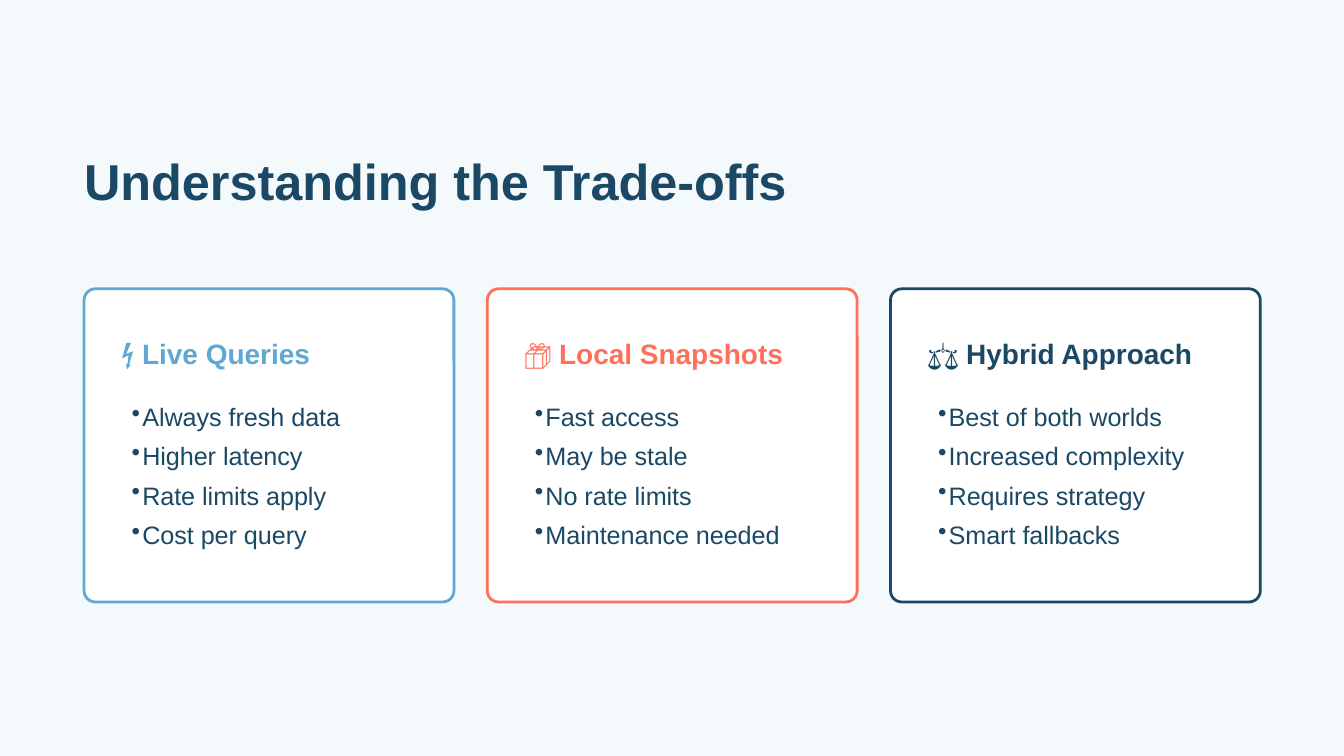
from lxml import etree
from pptx import Presentation
from pptx.dml.color import RGBColor
from pptx.enum.shapes import MSO_SHAPE
from pptx.oxml.ns import qn
from pptx.util import Cm, Pt

ROUNDED = MSO_SHAPE.ROUNDED_RECTANGLE
FONT = "Arial"
NAVY = "1B4965"
SKY = "5FA8D3"
CORAL = "FF6F59"
WHITE = "FFFFFF"
BACKGROUND = "F4F9FC"

MARGIN = 1.59
CARD_PITCH = 7.62
BULLET_INDENT = 0.2

OPTIONS = [
    ("⚡ Live Queries", SKY,
     ["Always fresh data", "Higher latency", "Rate limits apply", "Cost per query"]),
    ("📦 Local Snapshots", CORAL,
     ["Fast access", "May be stale", "No rate limits", "Maintenance needed"]),
    ("⚖ Hybrid Approach", NAVY,
     ["Best of both worlds", "Increased complexity", "Requires strategy", "Smart fallbacks"]),
]


def rgb(color):
    return RGBColor.from_string(color)


def add_text(slide, box, lines, size, color, leading, bold=False,
             before=0, after=0, inset=0):
    frame = slide.shapes.add_textbox(*map(Cm, box)).text_frame
    frame.word_wrap = True
    frame.margin_left = Cm(inset)
    frame.margin_top = frame.margin_right = frame.margin_bottom = 0
    frame.text = "\n".join(lines)
    for paragraph in frame.paragraphs:
        paragraph.line_spacing = Pt(leading)
        paragraph.space_before = Pt(before)
        paragraph.space_after = Pt(after)
        for run in paragraph.runs:
            run.font.name = FONT
            run.font.size = Pt(size)
            run.font.bold = bold
            run.font.color.rgb = rgb(color)
    return frame


def add_bullets(frame):
    for paragraph in frame.paragraphs:
        properties = paragraph._p.get_or_add_pPr()
        properties.set("marL", str(Cm(BULLET_INDENT)))
        properties.set("indent", str(-Cm(BULLET_INDENT)))
        etree.SubElement(properties, qn("a:buChar"), char="•")


def add_card(slide, left, heading, accent, points):
    card = slide.shapes.add_shape(ROUNDED, Cm(left), Cm(5.46), Cm(6.99), Cm(5.92))
    card.adjustments[0] = 0.036
    card.shadow.inherit = False
    card.fill.solid()
    card.fill.fore_color.rgb = rgb(WHITE)
    card.line.color.rgb = rgb(accent)
    card.line.width = Pt(1.5)

    content_left = left + 0.7
    add_text(slide, (content_left, 6.25, 5.72, 0.74), [heading], 15, accent, 21,
             bold=True, before=3, after=12)
    points_frame = add_text(slide, (content_left, 7.42, 5.61, 3.28), points,
                            13.5, NAVY, 21, inset=BULLET_INDENT)
    add_bullets(points_frame)


def main():
    presentation = Presentation()
    presentation.slide_width = Cm(25.4)
    presentation.slide_height = Cm(14.29)
    slide = presentation.slides.add_slide(presentation.slide_layouts[6])
    slide.background.fill.solid()
    slide.background.fill.fore_color.rgb = rgb(BACKGROUND)

    add_text(slide, (MARGIN, 2.92, 13.56, 1.07), ["Understanding the Trade-offs"],
             27, NAVY, 30, bold=True, after=24)
    for index, (heading, accent, points) in enumerate(OPTIONS):
        add_card(slide, MARGIN + index * CARD_PITCH, heading, accent, points)

    presentation.save("out.pptx")


if __name__ == "__main__":
    main()
